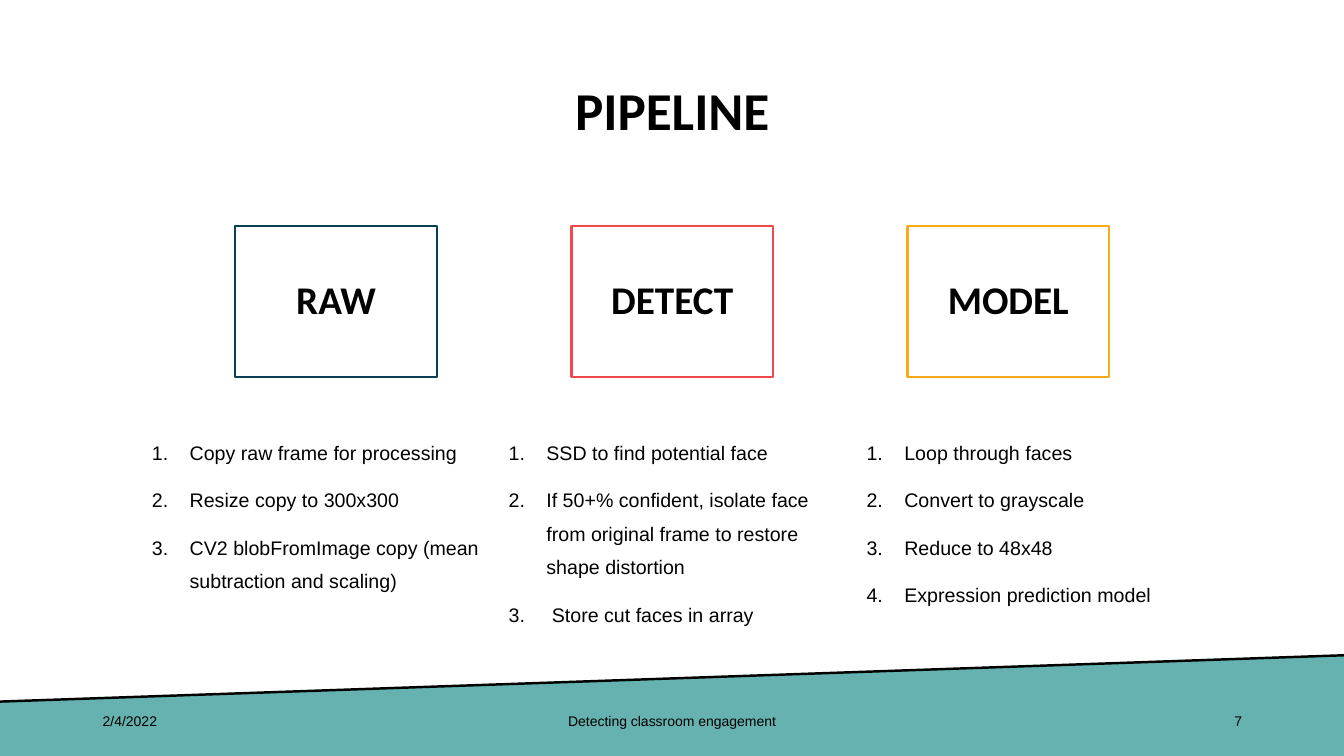
"""Build the pipeline slide with three stages and their numbered steps."""
import pptx
import pptx.dml.color
import pptx.enum.shapes
import pptx.enum.text
import pptx.oxml.ns
import pptx.util
from lxml import etree

Cm = pptx.util.Cm
Pt = pptx.util.Pt
ALIGN = pptx.enum.text.PP_ALIGN
ANCHOR = pptx.enum.text.MSO_ANCHOR


def color(value):
    return pptx.dml.color.RGBColor.from_string(value)


def set_all(obj, formats):
    for name, value in formats.items():
        setattr(obj, name, value)


class SlideBuilder:
    black = "000000"
    teal = "66B2B0"
    line_width = Pt(1.75)
    title = {"name": "Calibri", "size": Pt(38), "bold": True}
    label = {"name": "Calibri", "size": Pt(28), "bold": True}
    body = {"name": "Arial", "size": Pt(14)}
    footer = {"name": "Arial", "size": Pt(10)}
    heading = {"alignment": ALIGN.CENTER, "line_spacing": 0.9}

    def __init__(self, prs):
        self.s = prs.slides.add_slide(prs.slide_layouts[6])

    def fill_paragraph(self, p, text, font, formats):
        r = p.add_run()
        r.text = text
        set_all(p, formats)
        set_all(r.font, font)
        r.font.color.rgb = color(self.black)

    def text(self, box, text, font, formats):
        sp = self.s.shapes.add_textbox(*map(Cm, box))
        tf = sp.text_frame
        set_all(tf, {"word_wrap": True, "vertical_anchor": ANCHOR.MIDDLE})
        self.fill_paragraph(tf.paragraphs[0], text, font, formats)

    def stage(self, box, text, outline):
        sp = self.s.shapes.add_shape(
            pptx.enum.shapes.MSO_SHAPE.RECTANGLE, *map(Cm, box))
        sp.shadow.inherit = False
        sp.fill.background()
        sp.line.color.rgb = color(outline)
        sp.line.width = self.line_width
        tf = sp.text_frame
        set_all(tf, {"word_wrap": True, "vertical_anchor": ANCHOR.MIDDLE,
                     "margin_left": 0, "margin_right": 0,
                     "margin_top": 0, "margin_bottom": 0})
        self.fill_paragraph(tf.paragraphs[0], text, self.label, self.heading)

    def steps(self, box, items):
        sp = self.s.shapes.add_textbox(*map(Cm, box))
        tf = sp.text_frame
        tf.word_wrap = True
        qn = pptx.oxml.ns.qn
        for i, item in enumerate(items):
            p = tf.add_paragraph() if i else tf.paragraphs[0]
            pPr = p._p.get_or_add_pPr()
            pPr.set("marL", str(int(Cm(0.95))))
            pPr.set("indent", str(-int(Cm(0.95))))
            etree.SubElement(pPr, qn("a:buFont"), typeface="+mj-lt")
            etree.SubElement(pPr, qn("a:buAutoNum"), type="arabicPeriod")
            self.fill_paragraph(
                p, item, self.body,
                {"alignment": ALIGN.LEFT, "line_spacing": Pt(24),
                 "space_before": Pt(10 if i else 0)})

    def band(self, points):
        start, *rest = [tuple(map(Cm, point)) for point in points]
        fb = self.s.shapes.build_freeform(*start, scale=1.0)
        fb.add_line_segments(rest, close=True)
        sp = fb.convert_to_shape()
        sp.shadow.inherit = False
        sp.fill.solid()
        sp.fill.fore_color.rgb = color(self.teal)
        sp.line.fill.background()

    def line(self, begin, end):
        sp = self.s.shapes.add_connector(
            pptx.enum.shapes.MSO_CONNECTOR.STRAIGHT, *map(Cm, begin + end))
        sp.line.color.rgb = color(self.black)
        sp.line.width = self.line_width
        etree.SubElement(sp._element.spPr, pptx.oxml.ns.qn("a:effectLst"))


def main():
    prs = pptx.Presentation()
    prs.slide_width, prs.slide_height = Cm(33.87), Cm(19.05)
    b = SlideBuilder(prs)

    left, right = (-0.03, 17.68), (33.91, 16.51)
    b.band([left, right, (33.91, 19.05), (0, 19.13)])
    b.line(right, left)
    b.text((2.34, 1.02, 29.21, 3.68), "PIPELINE", b.title, b.heading)

    stages = [
        ("RAW", "0A4054", (3.58, 10.72, 8.99, 4.45),
         ["Copy raw frame for processing", "Resize copy to 300x300",
          "CV2 blobFromImage copy (mean subtraction and scaling)"]),
        ("DETECT", "F2494C", (12.57, 10.72, 8.74, 5.69),
         ["SSD to find potential face",
          "If 50+% confident, isolate face from original frame "
          "to restore shape distortion",
          " Store cut faces in array"]),
        ("MODEL", "F9AA19", (21.59, 10.72, 9.32, 4.95),
         ["Loop through faces", "Convert to grayscale", "Reduce to 48x48",
          "Expression prediction model"]),
    ]
    for i, (name, outline, box, items) in enumerate(stages):
        b.stage((5.93 + i * 8.47, 5.69, 5.08, 3.81), name, outline)
        b.steps(box, items)

    for x, width, text, align in [
            (2.34, 7.62, "2/4/2022", ALIGN.LEFT),
            (11.22, 11.43, "Detecting classroom engagement", ALIGN.CENTER),
            (23.93, 7.62, "7", ALIGN.RIGHT)]:
        b.text((x, 17.65, width, 1.02), text, b.footer, {"alignment": align})

    prs.save("out.pptx")


if __name__ == "__main__":
    main()
